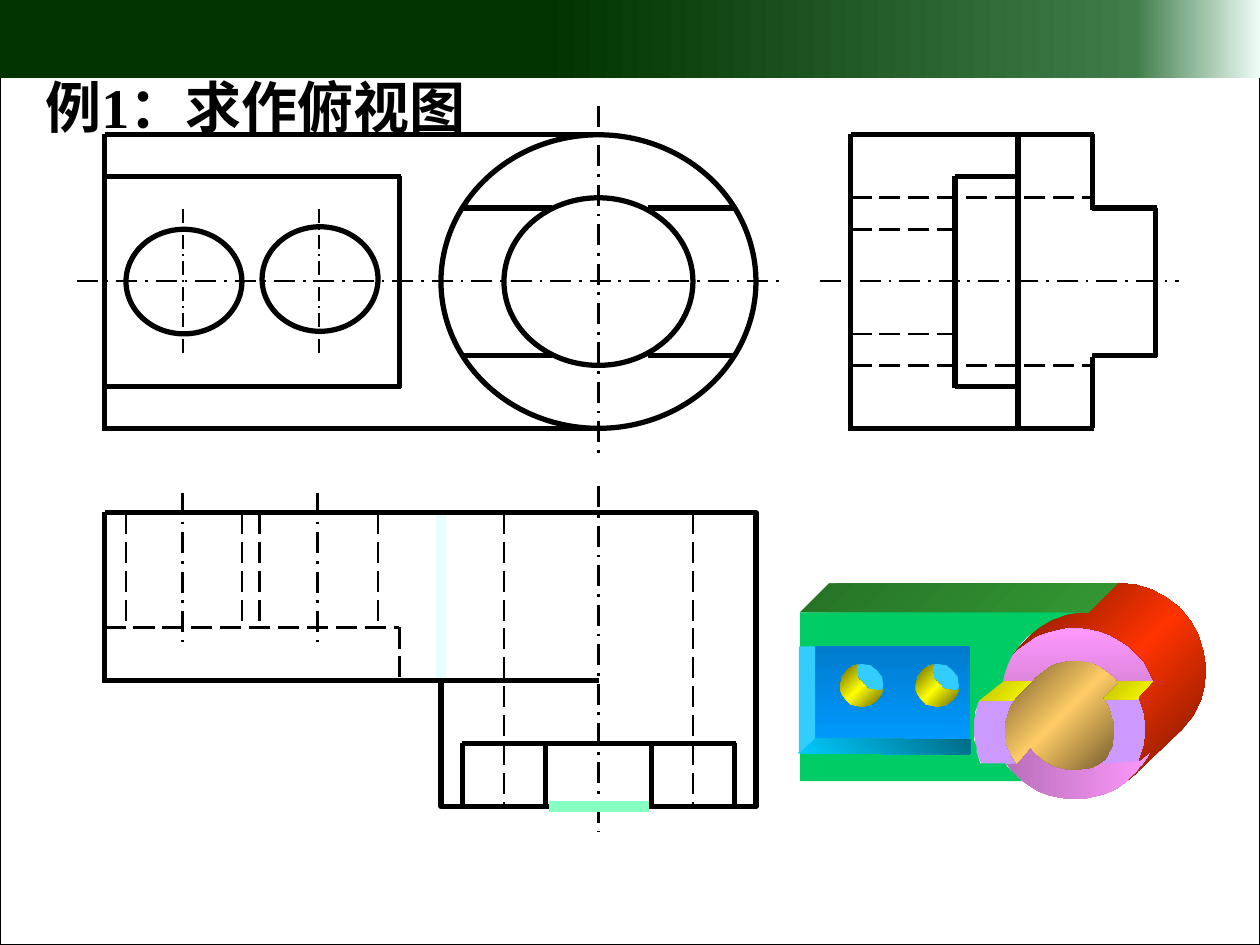
"""Build a drafting exercise slide: three projected views and a solid model."""
from copy import deepcopy
from dataclasses import dataclass
from math import cos, radians, sin

from pptx import Presentation
from pptx.dml.color import RGBColor
from pptx.enum.dml import MSO_LINE
from pptx.enum.shapes import MSO_CONNECTOR, MSO_SHAPE
from pptx.enum.text import MSO_ANCHOR, PP_ALIGN
from pptx.oxml.ns import qn
from pptx.oxml.xmlchemy import OxmlElement
from pptx.util import Pt

PX = 9144
STRAIGHT = MSO_CONNECTOR.STRAIGHT
OVAL, RECTANGLE = MSO_SHAPE.OVAL, MSO_SHAPE.RECTANGLE
LONG_DASH, LONG_DASH_DOT = MSO_LINE.LONG_DASH, MSO_LINE.LONG_DASH_DOT
LEFT, MIDDLE = PP_ALIGN.LEFT, MSO_ANCHOR.MIDDLE


@dataclass(frozen=True)
class Theme:
    font: str = "Times New Roman"
    title_size: int = 32
    ink: str = "000000"
    pale_edge: str = "E5FFFF"
    mint_edge: str = "85FFC2"
    lilac: str = "CC99FF"
    green: str = "00CC66"
    sky: str = "33CCFF"
    banner: tuple = (0, (43, "003300"), (90, "3F7C49"), (100, "EEFCF6"))
    pink_top: tuple = (90, (0, "FF99FF"), (100, "DC84DC"))
    pink_bottom: tuple = (0, (0, "B96FB9"), (100, "FF99FF"))
    yellow: tuple = (45, (0, "BEBE00"), (100, "FFFF00"))
    red: tuple = (45, (0, "761800"), (50, "FF3300"), (100, "761800"))
    bronze: tuple = (45, (0, "6E582C"), (50, "FFCC66"), (100, "6E582C"))
    dark_green: tuple = (45, (0, "267226"), (100, "339933"))
    blue: tuple = (90, (0, "007BCD"), (100, "0099FF"))
    teal: tuple = (315, (0, "00CCFF"), (100, "006C87"))
    gold: tuple = (45, (0, "646400"), (50, "FFFF00"), (100, "646400"))


THEME = Theme()


def write(frame, text, *, size, color, bold=False, align=LEFT, anchor=MIDDLE):
    frame.word_wrap = True
    frame.vertical_anchor = anchor
    paragraph = frame.paragraphs[0]
    paragraph.alignment = align
    run = paragraph.add_run()
    run.text = text
    run.font.name = THEME.font
    run.font.size = Pt(size)
    run.font.bold = bold
    run.font.color.rgb = RGBColor.from_string(color)


def arc(circle, start, end, steps=16):
    x, y, radius = circle
    angles = [radians(start + (end - start) * i / steps) for i in range(steps + 1)]
    return [(x + radius * cos(angle), y + radius * sin(angle)) for angle in angles]


prs = Presentation()
prs.slide_width, prs.slide_height = 1000 * PX, 750 * PX
slide = prs.slides.add_slide(prs.slide_layouts[5])
shapes = slide.shapes

title = shapes.title
title.left, title.top, title.width, title.height = 26 * PX, 53 * PX, 478 * PX, 63 * PX
write(title.text_frame, "例1：求作俯视图", size=THEME.title_size, color=THEME.ink, bold=True)

outlines = [
    (RECTANGLE, 0, 0, 1000, 750, 0.75),
    (OVAL, 350, 107, 250, 233, 3),
    (OVAL, 400, 157, 150, 133, 3),
    (OVAL, 100, 182, 92, 83, 3),
    (OVAL, 208, 180, 92, 83, 3),
    (RECTANGLE, 350, 407, 250, 233, 3),
]
for preset, x, y, width, height, weight in outlines:
    outline = shapes.add_shape(preset, x * PX, y * PX, width * PX, height * PX)
    outline.shadow.inherit = False
    outline.fill.background()
    outline.line.color.rgb = RGBColor.from_string(THEME.ink)
    outline.line.width = Pt(weight)

# each style: rows as (left, right, heights), then columns as (top, bottom, positions)
edges = [
    (THEME.ink, 1.5, LONG_DASH_DOT,
     [(61, 619, [223]), (651, 936, [223])],
     [(84, 361, [475]), (386, 660, [475]), (391, 516, [145, 252])]),
    (THEME.ink, 1, LONG_DASH_DOT, [], [(166, 281, [145, 253])]),
    (THEME.ink, 1.5, LONG_DASH,
     [(675, 867, [157, 290]), (675, 758, [182, 265]), (83, 317, [498])],
     [(407, 640, [400, 550]), (498, 540, [317]), (407, 498, [100, 192, 206, 300])]),
    (THEME.pale_edge, 6, None, [], [(407, 540, [350])]),
    (THEME.mint_edge, 6, None, [(436, 515, [640])], []),
    (THEME.ink, 3, None,
     [(83, 475, [107, 340, 407, 540]), (83, 318, [140, 307]),
      (367, 438, [165, 282]), (514, 583, [165, 282]),
      (675, 868, [107, 340]), (867, 918, [165, 282]),
      (758, 808, [140, 307]), (367, 584, [590])],
     [(106, 342, [83, 675, 808]), (140, 308, [317, 758]),
      (106, 167, [867]), (283, 340, [867]), (165, 283, [917]),
      (590, 640, [367, 433, 517, 583]), (406, 542, [83])]),
]
for color, weight, dash, rows, columns in edges:
    segments = [(left, y, right, y) for left, right, heights in rows for y in heights]
    segments += [(x, top, x, bottom) for top, bottom, places in columns for x in places]
    for x1, y1, x2, y2 in segments:
        edge = shapes.add_connector(STRAIGHT, x1 * PX, y1 * PX, x2 * PX, y2 * PX)
        edge.line.color.rgb = RGBColor.from_string(color)
        edge.line.width = Pt(weight)
        edge.line.dash_style = dash
        edge._element.spPr.append(OxmlElement("a:effectLst"))

front_rim, step_rim = (853, 566, 68), (841, 579, 68)
front_bore, step_bore = (853, 568, 43), (841, 580, 43)
back_rim, body_joint = (888, 532, 69), (864, 556, 70)
faces = [
    (THEME.banner, [(0, -2), (1000, -2), (1000, 62), (0, 62)]),
    (THEME.pink_top, arc(front_rim, 200, 340)),
    (THEME.pink_bottom, arc(front_rim, 23, 146) + [(819, 582)]),
    (THEME.lilac, arc(step_rim, 156, 201) + arc(step_bore, 215, 142)),
    (THEME.lilac, arc(step_rim, -22, 22) + arc(step_bore, 38, -37)),
    (THEME.yellow, [(789, 541), (822, 541), (805, 556), (775, 556)]),
    (THEME.yellow, [(886, 541), (917, 541), (903, 555), (873, 555)]),
    (THEME.red, arc(back_rim, -135, 43) + arc(front_rim, 51, 25)
     + arc(step_rim, 22, -22) + arc(front_rim, -22, -139)),
    (THEME.bronze, arc(step_bore, 215, 143) + arc(front_bore, 145, 60)
     + arc(step_bore, 32, -37) + arc(front_bore, -38, -142)),
    (THEME.dark_green, [(635, 486), (658, 463), (887, 463), (864, 486)]),
    (THEME.green, [(635, 486)] + arc(body_joint, -90, -168) + arc(step_rim, 200, 157)
     + arc(front_rim, 144, 128) + [(635, 620)]),
    (THEME.blue, [(646, 513), (770, 513), (770, 588), (646, 588)]),
    (THEME.teal, [(633, 598), (646, 586), (770, 587), (770, 599)]),
    (THEME.sky, [(634, 513), (634, 598), (647, 586), (647, 513)]),
]
for hole_x in (684, 744):
    hole, far_edge = (hole_x, 544, 17), (hole_x + 13, 531, 17)
    faces.append((THEME.sky, arc(hole, 0, 360)))
    faces.append((THEME.gold, arc(far_edge, 195, 75) + arc(hole, 12, 260)))

for fill, corners in faces:
    contour = shapes.build_freeform(*corners[0], scale=PX)
    contour.add_line_segments(corners[1:], close=True)
    face = contour.convert_to_shape()
    face.shadow.inherit = False
    face.line.fill.background()
    if isinstance(fill, str):
        face.fill.solid()
        face.fill.fore_color.rgb = RGBColor.from_string(fill)
        continue
    angle, *stops = fill
    face.fill.gradient()
    face.fill.gradient_angle = -angle % 360
    stop_list = face._element.spPr.find(".//" + qn("a:gsLst"))
    while len(stop_list) < len(stops):
        stop_list.append(deepcopy(stop_list[-1]))
    for stop, (percent, color) in zip(face.fill.gradient_stops, stops):
        stop.position = percent / 100
        stop.color.rgb = RGBColor.from_string(color)

prs.save("out.pptx")
